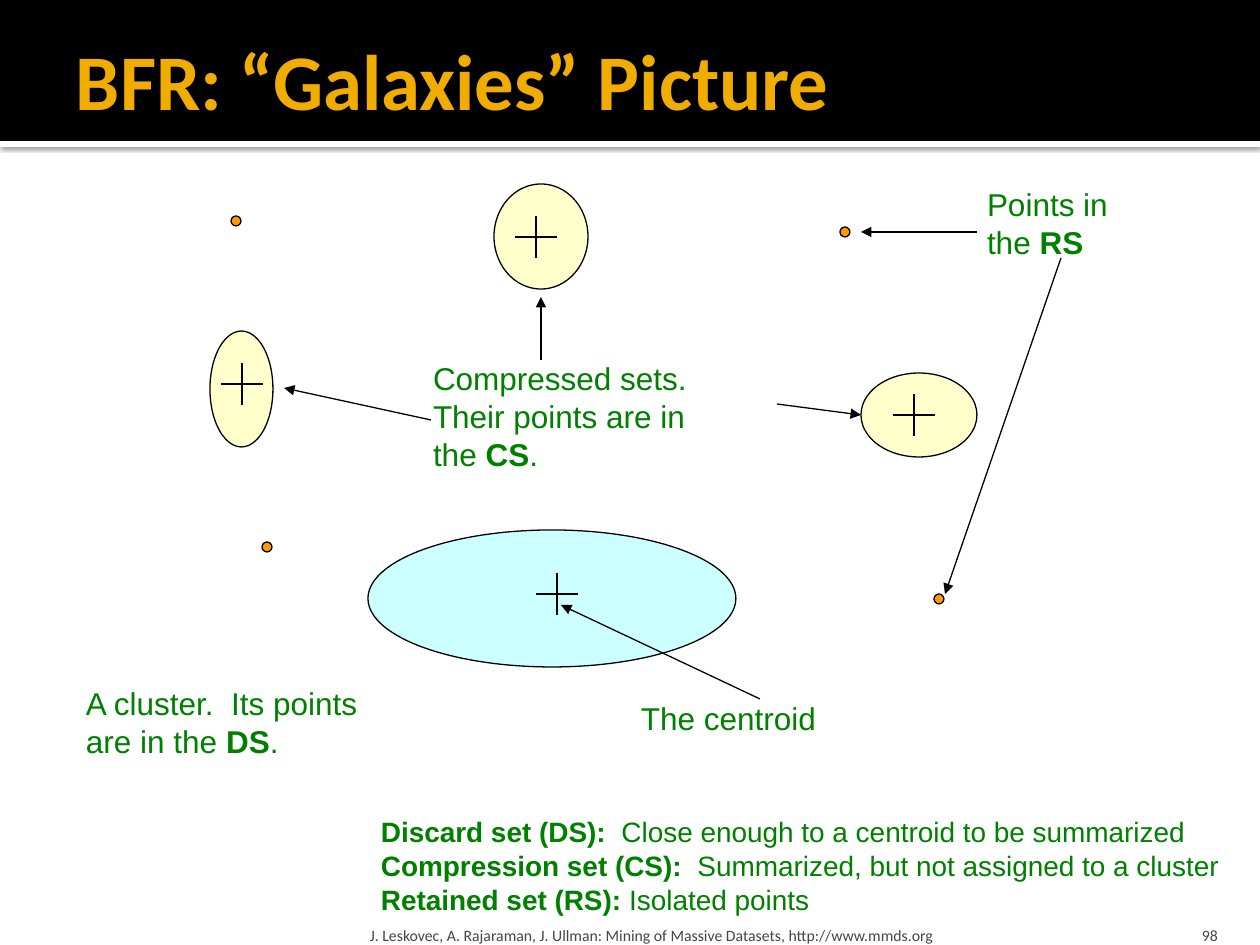
from lxml import etree
from pptx import Presentation
from pptx.dml.color import RGBColor
from pptx.enum.shapes import MSO_CONNECTOR, MSO_SHAPE
from pptx.enum.text import MSO_ANCHOR, MSO_AUTO_SIZE, PP_ALIGN
from pptx.oxml.ns import qn
from pptx.util import Pt

STRAIGHT = MSO_CONNECTOR.STRAIGHT
OVAL, RECTANGLE = MSO_SHAPE.OVAL, MSO_SHAPE.RECTANGLE
TOP, MIDDLE, BOTTOM = MSO_ANCHOR.TOP, MSO_ANCHOR.MIDDLE, MSO_ANCHOR.BOTTOM
FIXED, GROW = MSO_AUTO_SIZE.NONE, MSO_AUTO_SIZE.SHAPE_TO_FIT_TEXT
LEFT, RIGHT = PP_ALIGN.LEFT, PP_ALIGN.RIGHT

EMU_PER_PX = 914400 / 126
CROSS_ARM = 21
DOT = 10
LABEL_INSETS = (13, 6, 13, 6)
COLORS = {
    "band": "000000",
    "edge": "FFFFFF",
    "title": "F0AD00",
    "footer": "454545",
    "label": "008000",
    "line": "000000",
    "cluster": "CCFFFF",
    "compressed": "FFFF99",
    "retained": "FF9900",
}


def px(length):
    """Turn pixels into EMU."""
    return round(length * EMU_PER_PX)


def rgb(name):
    """Look up a colour of the palette."""
    return RGBColor.from_string(COLORS[name])


def add_area(shapes, kind, box, color, outlined=True, alpha=None):
    """Add a filled shape, outlined and see-through on request."""
    area = shapes.add_shape(kind, *map(px, box))
    area.shadow.inherit = False
    area.fill.solid()
    area.fill.fore_color.rgb = rgb(color)
    if outlined:
        area.line.color.rgb = rgb("line")
        area.line.width = Pt(0.75)
    else:
        area.line.fill.background()
    if alpha:
        tint = area.element.spPr.find(qn("a:solidFill"))[0]
        etree.SubElement(tint, qn("a:alpha"), val=str(alpha * 1000))
    return area


def add_edge_shadow(edge):
    """Give the header edge a soft shadow below it."""
    effects = edge.element.spPr.find(qn("a:effectLst"))
    shadow = etree.SubElement(
        effects, qn("a:outerShdw"), blurRad=str(Pt(2.5)), dist=str(Pt(0.8)),
        dir="5400000", algn="tl", rotWithShape="0")
    tint = etree.SubElement(shadow, qn("a:srgbClr"), val="000000")
    etree.SubElement(tint, qn("a:alpha"), val="60000")


def add_line(shapes, start, end, arrow=False):
    """Add a thin straight line, with an arrowhead at its end on request."""
    line = shapes.add_connector(STRAIGHT, *map(px, start + end))
    line.line.color.rgb = rgb("line")
    line.line.width = Pt(0.75)
    if arrow:
        etree.SubElement(line.line._get_or_add_ln(), qn("a:tailEnd"), type="triangle")
    etree.SubElement(line.element.spPr, qn("a:effectLst"))


def add_cross(shapes, x, y):
    """Mark a centroid with a plus sign."""
    add_line(shapes, (x, y - CROSS_ARM), (x, y + CROSS_ARM))
    add_line(shapes, (x - CROSS_ARM, y), (x + CROSS_ARM, y))


def write(frame, paragraphs, size, color, font="Arial", insets=LABEL_INSETS,
          anchor=TOP, align=LEFT, wrap=False, fit=GROW):
    """Fill a text frame with paragraphs of (text, bold) runs."""
    frame.auto_size = fit
    frame.word_wrap = wrap
    frame.vertical_anchor = anchor
    frame.margin_left, frame.margin_top, frame.margin_right, frame.margin_bottom = map(px, insets)
    for index, pieces in enumerate(paragraphs):
        paragraph = frame.add_paragraph() if index else frame.paragraphs[0]
        paragraph.alignment = align
        for text, bold in pieces:
            run = paragraph.add_run()
            run.text = text
            run.font.name = font
            run.font.size = Pt(size)
            run.font.bold = bold
            run.font.color.rgb = rgb(color)


def add_label(shapes, box, paragraphs, size=18, color="label", **options):
    """Add a text box."""
    label = shapes.add_textbox(*map(px, box))
    write(label.text_frame, paragraphs, size, color, **options)


def add_header(slide):
    """Build the title on its dark band."""
    edge = add_area(slide.shapes, RECTANGLE, (0, 141, 1260, 6), "edge", outlined=False)
    add_edge_shadow(edge)
    band = add_area(slide.shapes, RECTANGLE, (0, 0, 1260, 141), "band", outlined=False)
    title = slide.shapes.title
    band.element.addnext(title.element)
    title.left, title.top, title.width, title.height = map(px, (63, 21, 1134, 116))
    write(title.text_frame, [[("BFR: “Galaxies” Picture", True)]], 45, "title",
          font="Calibri", insets=(13, 6, 6, 6), anchor=MIDDLE, wrap=True, fit=FIXED)


def add_footer(shapes):
    """Add the citation and the slide number."""
    style = {"size": 9, "color": "footer", "font": "Calibri",
             "anchor": BOTTOM, "wrap": True, "fit": FIXED}
    citation = "J. Leskovec, A. Rajaraman, J. Ullman: Mining of Massive Datasets, http://www.mmds.org"
    add_label(shapes, (364, 907, 759, 38), [[(citation, False)]], insets=(6, 6, 6, 0), **style)
    add_label(shapes, (1130, 907, 101, 38), [[("98", False)]],
              insets=(13, 6, 13, 0), align=RIGHT, **style)


def add_cluster(shapes):
    """Draw the cluster of the discard set with its centroid."""
    add_area(shapes, OVAL, (368, 530, 368, 137), "cluster")
    add_label(shapes, (73, 678, 300, 89), [
        [("A cluster.  Its points", False)],
        [("are in the ", False), ("DS", True), (".", False)]])
    add_cross(shapes, 557, 594)
    add_label(shapes, (628, 693, 202, 50), [[("The centroid", False)]])
    add_line(shapes, (760, 699), (561, 605), arrow=True)


def add_compressed_sets(shapes):
    """Draw the compressed sets and point at them."""
    for box in ((210, 331, 63, 116), (861, 373, 116, 84), (494, 184, 94, 105)):
        add_area(shapes, OVAL, box, "compressed", alpha=50)
    for x, y in ((242, 384), (914, 415), (536, 237)):
        add_cross(shapes, x, y)
    add_label(shapes, (420, 353, 282, 127), [
        [("Compressed sets.", False)],
        [("Their points are in", False)],
        [("the ", False), ("CS", True), (".", False)]])
    for start, end in (((431, 420), (284, 388)), ((541, 360), (541, 297)),
                       ((777, 404), (861, 415))):
        add_line(shapes, start, end, arrow=True)


def add_retained_points(shapes):
    """Draw the isolated points and point at two of them."""
    for x, y in ((231, 216), (262, 542), (934, 594), (840, 227)):
        add_area(shapes, OVAL, (x, y, DOT, DOT), "retained")
    add_label(shapes, (974, 179, 147, 89), [
        [("Points in", False)],
        [("the ", False), ("RS", True)]])
    add_line(shapes, (977, 232), (861, 232), arrow=True)
    add_line(shapes, (1061, 258), (945, 594), arrow=True)


def add_definitions(shapes):
    """List what each set holds."""
    definitions = (
        ("Discard set (DS):", "  Close enough to a centroid to be summarized"),
        ("Compression set (CS):", "  Summarized, but not assigned to a cluster"),
        ("Retained set (RS):", " Isolated points"))
    add_label(shapes, (368, 809, 882, 115),
              [[(term, True), (meaning, False)] for term, meaning in definitions],
              size=16, wrap=True)


def main():
    """Build and save the slide."""
    deck = Presentation()
    deck.slide_width, deck.slide_height = px(1260), px(945)
    slide = deck.slides.add_slide(deck.slide_layouts[5])
    add_header(slide)
    add_footer(slide.shapes)
    for add_galaxy in (add_cluster, add_compressed_sets, add_retained_points):
        add_galaxy(slide.shapes.add_group_shape().shapes)
    add_definitions(slide.shapes)
    deck.save("out.pptx")


if __name__ == "__main__":
    main()
